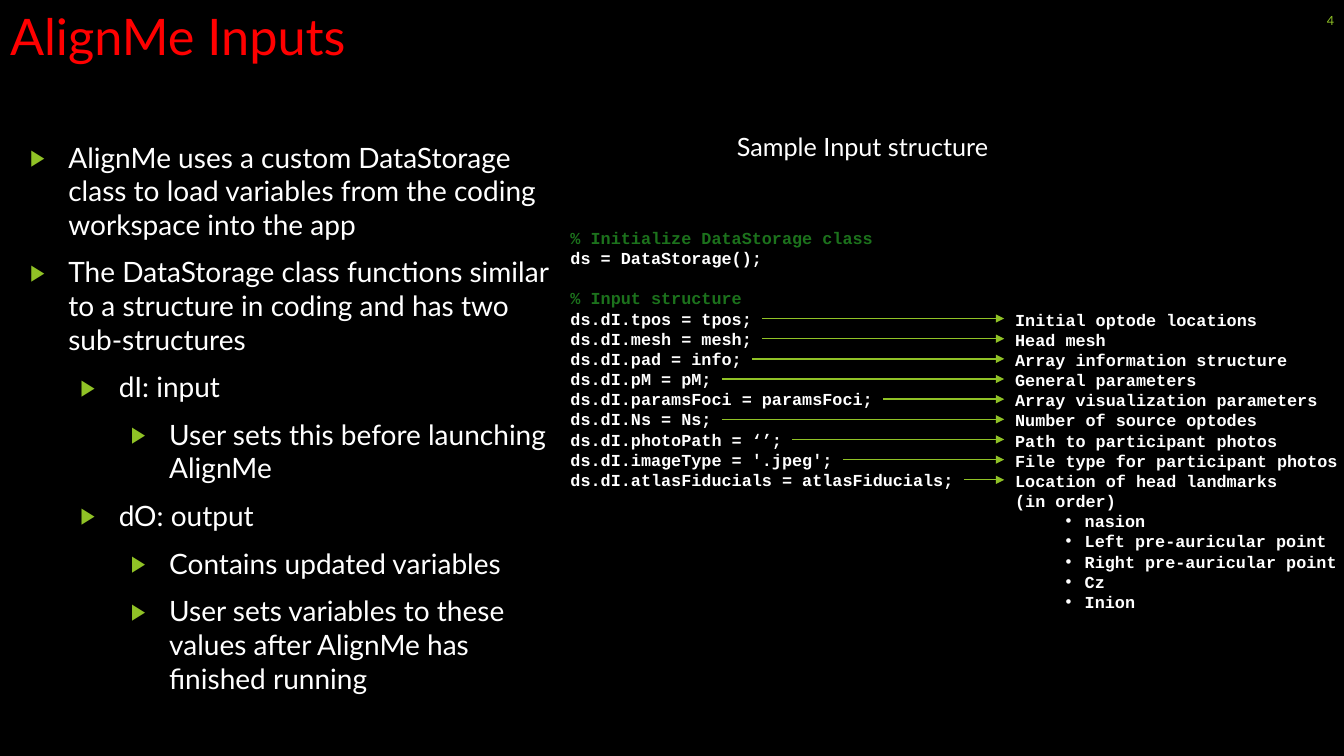
from lxml.etree import SubElement
from pptx import Presentation
from pptx.dml.color import RGBColor
from pptx.enum.shapes import MSO_CONNECTOR
from pptx.enum.text import MSO_ANCHOR, MSO_AUTO_SIZE, PP_ALIGN
from pptx.oxml.ns import qn
from pptx.util import Inches, Pt

WIDTH, HEIGHT = 13.33, 7.5
GREEN, WHITE, RED, COMMENT_GREEN = "90C226", "FFFFFF", "FF0000", "1C721C"
INSET = 0.1
CODE_ROW = 0.2  # height of a line of 12 pt code
CODE_CHAR = 0.1  # width of a character of 12 pt code

OUTLINE = [
    (0, "AlignMe uses a custom DataStorage class to load variables from the coding workspace into the app"),
    (0, "The DataStorage class functions similar to a structure in coding and has two sub-structures"),
    (1, "dI: input"),
    (2, "User sets this before launching AlignMe"),
    (1, "dO: output"),
    (2, "Contains updated variables"),
    (2, "User sets variables to these values after AlignMe has finished running"),
]
SETUP = ["% Initialize DataStorage class", "ds = DataStorage();"]
INPUT_HEADING = "% Input structure"
INPUTS = [
    ("ds.dI.tpos = tpos;", "Initial optode locations"),
    ("ds.dI.mesh = mesh;", "Head mesh"),
    ("ds.dI.pad = info;", "Array information structure"),
    ("ds.dI.pM = pM;", "General parameters"),
    ("ds.dI.paramsFoci = paramsFoci;", "Array visualization parameters"),
    ("ds.dI.Ns = Ns;", "Number of source optodes"),
    ("ds.dI.photoPath = ‘’;", "Path to participant photos"),
    ("ds.dI.imageType = '.jpeg';", "File type for participant photos"),
    ("ds.dI.atlasFiducials = atlasFiducials;", "Location of head landmarks"),
]
LANDMARKS = ["nasion", "Left pre-auricular point", "Right pre-auricular point", "Cz", "Inion"]


def color(hex_string):
    return RGBColor.from_string(hex_string)


def add_frame(slide, left, top, width, height):
    """Add a wrapping text box and return its text frame."""
    frame = slide.shapes.add_textbox(Inches(left), Inches(top), Inches(width), Inches(height)).text_frame
    frame.word_wrap = True
    return frame


def next_paragraph(frame, text):
    """Fill the first paragraph if it is still empty, otherwise add one."""
    first = frame.paragraphs[0]
    paragraph = frame.add_paragraph() if first.text else first
    paragraph.text = text
    return paragraph


def style(paragraph, size, hex_string, face="Lato", bold=False):
    font = paragraph.font
    font.size, font.name, font.bold = Pt(size), face, bold
    font.color.rgb = color(hex_string)


def add_bullet(paragraph, symbol, margin, hanging, face, hex_string, percent):
    properties = paragraph._p.get_or_add_pPr()
    properties.set("marL", str(Inches(margin)))
    properties.set("indent", str(-Inches(hanging)))
    fill = SubElement(properties, qn("a:buClr"))
    SubElement(fill, qn("a:srgbClr"), val=hex_string)
    SubElement(properties, qn("a:buSzPct"), val=str(percent * 1000))
    SubElement(properties, qn("a:buFont"), typeface=face)
    SubElement(properties, qn("a:buChar"), char=symbol)


def add_code_line(frame, text, hex_string=WHITE, gap=0, bulleted=False):
    paragraph = next_paragraph(frame, text)
    paragraph.line_spacing = Inches(CODE_ROW)
    if gap:
        paragraph.space_before = Inches(gap)
    if bulleted:
        paragraph.level = 1
        add_bullet(paragraph, "•", 0.69, 0.19, "Arial", WHITE, 100)
    style(paragraph, 12, hex_string, "Courier New", True)


def set_title(slide, text):
    title = slide.shapes.title
    title.left, title.top, title.width, title.height = 0, 0, Inches(12.48), Inches(1.44)
    frame = title.text_frame
    frame.auto_size = MSO_AUTO_SIZE.NONE
    frame.vertical_anchor = MSO_ANCHOR.TOP
    paragraph = next_paragraph(frame, text)
    paragraph.alignment = PP_ALIGN.LEFT
    style(paragraph, 36, RED)


def add_slide_number(slide, number, width=0.75, height=0.4):
    frame = add_frame(slide, WIDTH - width, 0, width, height)
    frame.vertical_anchor = MSO_ANCHOR.MIDDLE
    paragraph = next_paragraph(frame, number)
    paragraph.alignment = PP_ALIGN.RIGHT
    style(paragraph, 9, GREEN)


def add_outline(slide, left, top, width, height):
    frame = add_frame(slide, left, top, width, height)
    for index, (level, text) in enumerate(OUTLINE):
        paragraph = next_paragraph(frame, text)
        paragraph.level = level
        if index:
            paragraph.space_before = Pt(10)
        add_bullet(paragraph, "▶", 0.38 + 0.5 * level, 0.38, "Lato", GREEN, 80)
        style(paragraph, 20, WHITE)


def add_arrow(slide, start, end, y):
    arrow = slide.shapes.add_connector(
        MSO_CONNECTOR.STRAIGHT, Inches(start), Inches(y), Inches(end), Inches(y))
    arrow.line.color.rgb = color(GREEN)
    arrow.line.width = Pt(1)
    SubElement(arrow.line._get_or_add_ln(), qn("a:tailEnd"), type="triangle")
    SubElement(arrow._element.spPr, qn("a:effectLst"))


def add_sample(slide, left, top, width, height):
    """Place the caption, the code, and an arrow from each input to its meaning."""
    caption = next_paragraph(add_frame(slide, left + 1.65, top, 2.79, 0.4), "Sample Input structure")
    style(caption, 18, WHITE)

    code_top, notes_top, notes_left = top + 0.96, top + 1.77, left + 4.41
    code = add_frame(slide, left, code_top, 4.05, 2.72)
    notes = add_frame(slide, notes_left, notes_top, width - 4.41, height - 1.77)
    notes.margin_right = 0

    for line in SETUP:
        add_code_line(code, line, COMMENT_GREEN if line.startswith("%") else WHITE)
    add_code_line(code, INPUT_HEADING, COMMENT_GREEN, gap=CODE_ROW)
    for row, (statement, meaning) in enumerate(INPUTS):
        add_code_line(code, statement)
        add_code_line(notes, meaning)
        statement_end = left + INSET + len(statement) * CODE_CHAR
        add_arrow(slide, statement_end + 0.1, notes_left - 0.01, notes_top + 0.14 + row * CODE_ROW)
    add_code_line(notes, "(in order)")
    for landmark in LANDMARKS:
        add_code_line(notes, landmark, bulleted=True)


def main():
    deck = Presentation()
    deck.slide_width, deck.slide_height = Inches(WIDTH), Inches(HEIGHT)
    slide = deck.slides.add_slide(deck.slide_layouts.get_by_name("Title Only"))
    slide.background.fill.solid()
    slide.background.fill.fore_color.rgb = color("000000")
    set_title(slide, "AlignMe Inputs")
    add_slide_number(slide, "4")
    add_outline(slide, 0.2, 1.34, 5.36, 5.65)
    add_sample(slide, 5.56, 1.25, WIDTH - 5.56, 5.1)
    deck.save("out.pptx")


if __name__ == "__main__":
    main()
